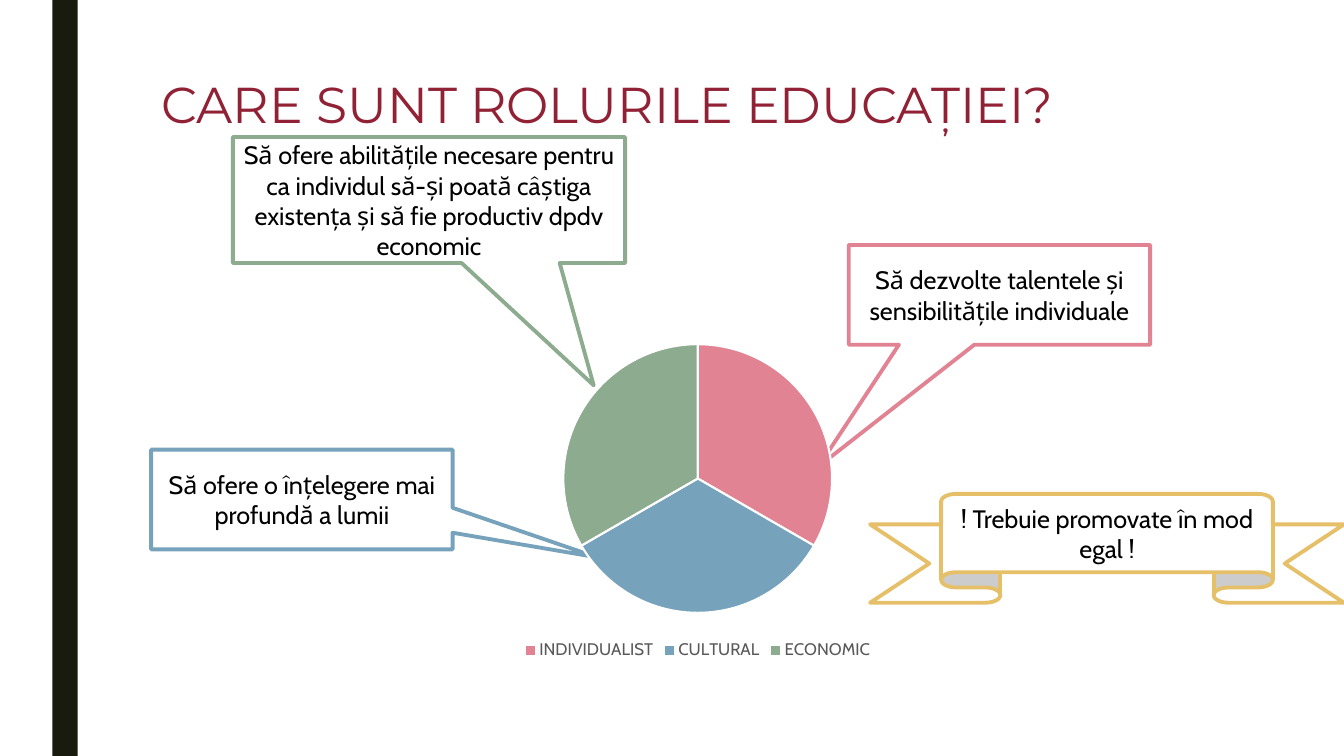
from lxml import etree
from pptx import Presentation
from pptx import util as u
from pptx.chart.data import CategoryChartData
from pptx.dml.color import RGBColor
from pptx.enum import chart as ch, shapes, text
from pptx.oxml import parse_xml
from pptx.oxml.ns import nsdecls

WIDTH, HEIGHT = u.Inches(13.33), u.Inches(7.5)
PINK, BLUE, GREEN, GOLD = "E28394", "77A2BB", "8DAB8E", "E6C069"
WHITE, BLACK, GREY, WINE, DARK = "FFFFFF", "000000", "595959", "912236", "191B0E"

ROLES = {"INDIVIDUALIST": PINK, "CULTURAL": BLUE, "ECONOMIC": GREEN}

CALLOUTS = [
    ("Să dezvolte talentele și sensibilitățile individuale",
     (63.15, 32.4, 22.43, 13.2), (-0.6, 1.72), PINK),
    ("Să ofere o înțelegere mai profundă a lumii",
     (11.25, 59.47, 22.43, 13.2), (0.98, 0.58), BLUE),
    ("Să ofere abilitățile necesare pentru ca individul să-și poată câștiga "
     "existența și să fie productiv dpdv economic",
     (17.33, 18.13, 29.18, 16.67), (0.42, 1.47), GREEN),
]


def share(left, top, width, height):
    return [int(total * part / 100) for total, part in
            zip((WIDTH, HEIGHT, WIDTH, HEIGHT), (left, top, width, height))]


def paint(target, color):
    if hasattr(target, "solid"):
        target.solid()
        target = target.fore_color
    target.rgb = RGBColor.from_string(color)


def style(font, name, size, color):
    font.name, font.size = name, u.Pt(size)
    paint(font.color, color)


def add_bar(slide):
    sp = slide.shapes.add_shape(shapes.MSO_SHAPE.RECTANGLE, *share(3.9, 0, 1.88, 100))
    sp.shadow.inherit = False
    paint(sp.fill, DARK)
    sp.line.fill.background()


def add_title(slide, words):
    sp = slide.shapes.title
    sp.left, sp.top, sp.width, sp.height = share(11.25, 10, 78.75, 21.6)
    tf = sp.text_frame
    tf.text = words
    tf.word_wrap = True
    tf.vertical_anchor = text.MSO_ANCHOR.TOP
    p = tf.paragraphs[0]
    p.alignment = text.PP_ALIGN.LEFT
    p.line_spacing = 0.89
    style(p.font, "Montserrat", 36, WINE)


def add_note(slide, kind, words, box, adjustments, color):
    sp = slide.shapes.add_shape(kind, *share(*box))
    sp.shadow.inherit = False
    for i, value in enumerate(adjustments):
        sp.adjustments[i] = value
    paint(sp.fill, WHITE)
    paint(sp.line.fill, color)
    sp.line.width = u.Pt(2.75)
    tf = sp.text_frame
    tf.text = words
    tf.word_wrap = True
    tf.vertical_anchor = text.MSO_ANCHOR.MIDDLE
    p = tf.paragraphs[0]
    p.alignment = text.PP_ALIGN.CENTER
    style(p.font, "Cabin", 18, BLACK)


def place_plot(chart, **shares):
    area = chart.plots[0]._element.getparent()
    for old in area.findall("{*}layout"):
        area.remove(old)
    layout = parse_xml(f"<c:layout {nsdecls('c')}><c:manualLayout/></c:layout>")
    settings = {"layoutTarget": "inner", "xMode": "edge", "yMode": "edge", **shares}
    for tag, value in settings.items():
        ns = etree.QName(layout).namespace
        etree.SubElement(layout[0], f"{{{ns}}}{tag}").set("val", str(value))
    area.insert(0, layout)


def add_pie(slide):
    data = CategoryChartData()
    data.categories = list(ROLES)
    data.add_series("Roluri", [33] * len(ROLES))
    chart = slide.shapes.add_chart(
        ch.XL_CHART_TYPE.PIE, *share(12.53, 35.6, 78.77, 52.27), data).chart
    style(chart.font, "Cabin", 10, BLACK)
    chart.has_title = False
    chart.has_legend = True
    chart.legend.position = ch.XL_LEGEND_POSITION.BOTTOM
    chart.legend.include_in_layout = False
    style(chart.legend.font, "Cabin", 12, GREY)
    plot = chart.plots[0]
    plot.vary_by_categories = True
    for i, color in enumerate(ROLES.values()):
        fmt = plot.series[0].points[i].format
        paint(fmt.fill, color)
        paint(fmt.line.fill, WHITE)
        fmt.line.width = u.Pt(1.5)
    place_plot(chart, x=0.37, y=0.19, w=0.26, h=0.68)


def main():
    prs = Presentation()
    prs.slide_width, prs.slide_height = WIDTH, HEIGHT
    s = prs.slides.add_slide(prs.slide_layouts[5])
    add_bar(s)
    add_title(s, "CARE SUNT ROLURILE EDUCAȚIEI?")
    for callout in CALLOUTS:
        add_note(s, shapes.MSO_SHAPE.RECTANGULAR_CALLOUT, *callout)
    add_pie(s)
    add_note(s, shapes.MSO_SHAPE.UP_RIBBON, "! Trebuie promovate în mod egal !",
             (64.74, 65.33, 35.26, 14.4), (0.28, 0.7), GOLD)
    prs.save("out.pptx")


if __name__ == "__main__":
    main()
